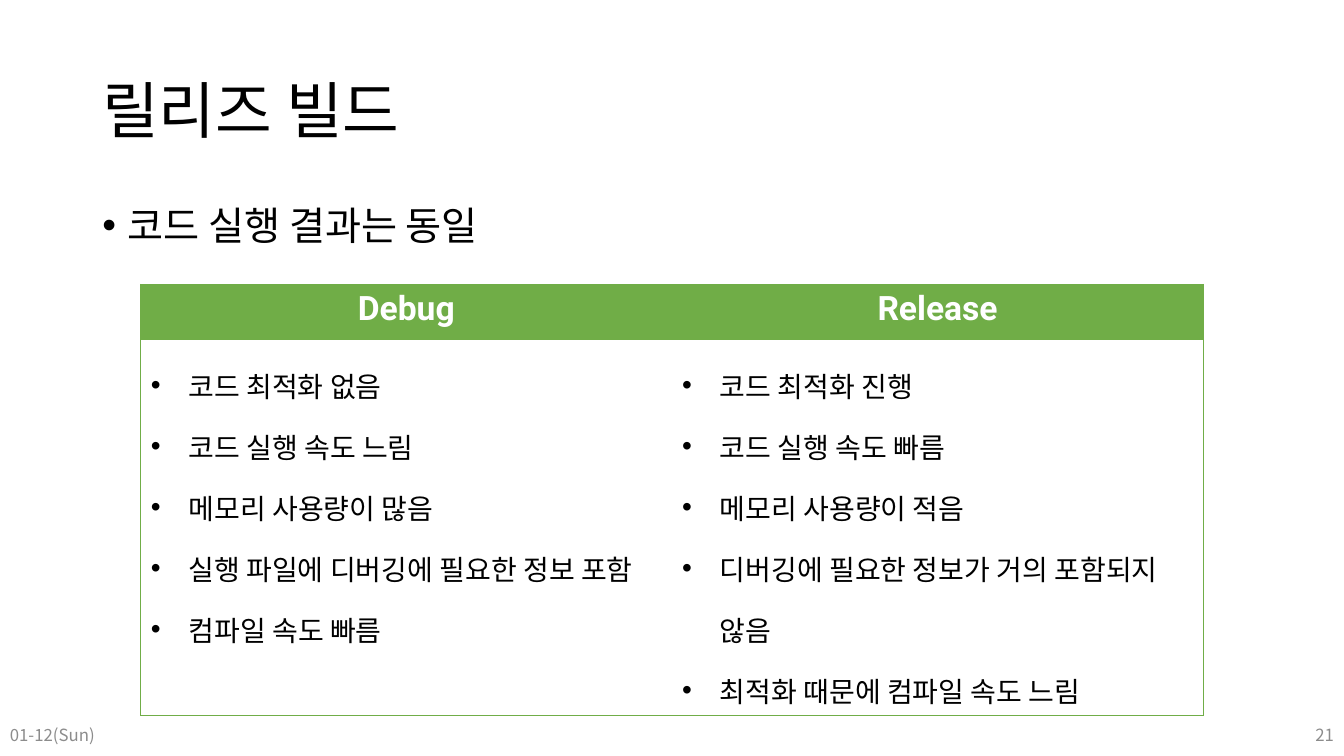
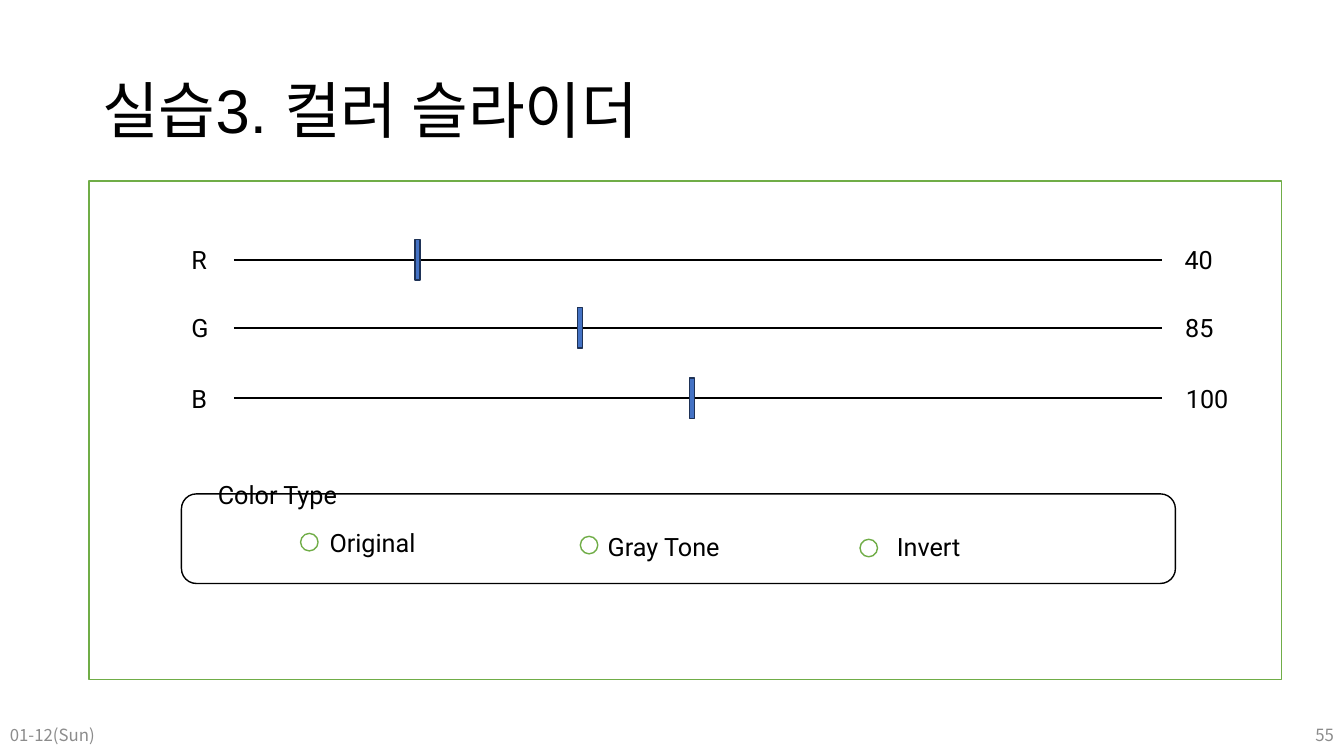
import pptx
import pptx.dml.color
import pptx.enum.shapes
import pptx.enum.text
import pptx.oxml
import pptx.oxml.ns
import pptx.util
from lxml import etree

Pt = pptx.util.Pt
SHAPES = pptx.enum.shapes.MSO_SHAPE
ALIGN = pptx.enum.text.PP_ALIGN
ANCHOR = pptx.enum.text.MSO_ANCHOR


class Theme:
    black, white, grey = "000000", "FFFFFF", "8C8C8C"
    green, blue, navy = "70AD47", "4472C4", "1E3256"
    title_font, body_font, korean_font = "Arial", "Roboto", "Noto Sans CJK KR"
    title, bullet, header, cell, control, footer = 44, 28, 24, 20, 18, 12
    width, height = 960, 540


FOOTER_DATE = "01-12(Sun)"

BUILD = {
    "title": "릴리즈 빌드",
    "number": "21",
    "point": "코드 실행 결과는 동일",
    "columns": {
        "Debug": [
            "코드 최적화 없음",
            "코드 실행 속도 느림",
            "메모리 사용량이 많음",
            "실행 파일에 디버깅에 필요한 정보 포함",
            "컴파일 속도 빠름",
        ],
        "Release": [
            "코드 최적화 진행",
            "코드 실행 속도 빠름",
            "메모리 사용량이 적음",
            "디버깅에 필요한 정보가 거의 포함되지 않음",
            "최적화 때문에 컴파일 속도 느림",
        ],
    },
}

SLIDER = {
    "title": "실습3. 컬러 슬라이더",
    "number": "55",
    # label, label width, value, value left, value width, track y, knob left
    "channels": [
        ("R", 26, "40", 839, 37.5, 185.5, 296.5),
        ("G", 27, "85", 839.5, 37, 234, 412.5),
        ("B", 26, "100", 840, 45.5, 284.5, 492.5),
    ],
    "group": "Color Type",
    # text, left, top, width
    "options": [
        ("Original", 228.3, 373, 78),
        ("Gray Tone", 427, 376.3, 101),
        ("Invert", 633.5, 376.3, 62.5),
    ],
}


def color(value):
    return pptx.dml.color.RGBColor.from_string(value)


def write(frame, lines, *, size, font=Theme.body_font, fill=Theme.black, bold=False,
          align=ALIGN.LEFT, spacing=None, hanging=None):
    """Put one paragraph per line into a text frame; hanging adds a bullet with that indent."""
    for index, line in enumerate(lines):
        paragraph = frame.paragraphs[0] if index == 0 else frame.add_paragraph()
        if hanging:
            properties = paragraph._p.get_or_add_pPr()
            properties.set("marL", str(Pt(hanging)))
            properties.set("indent", str(-Pt(hanging)))
            for tag, name, value in (("a:buFont", "typeface", "Arial"), ("a:buChar", "char", "•")):
                etree.SubElement(properties, pptx.oxml.ns.qn(tag)).set(name, value)
        paragraph.alignment = align
        if spacing:
            paragraph.line_spacing = spacing
        run = paragraph.add_run()
        run.text = line
        run.font.size = Pt(size)
        run.font.name = font
        run.font.bold = bold
        run.font.color.rgb = color(fill)
        east_asian = pptx.oxml.parse_xml(
            f'<a:ea {pptx.oxml.ns.nsdecls("a")} typeface="{Theme.korean_font}"/>')
        run._r.rPr.find(pptx.oxml.ns.qn("a:latin")).addnext(east_asian)


def add_text(shapes, text, left, top, width, height, *, anchor=ANCHOR.TOP, wrap=True, **text_format):
    frame = shapes.add_textbox(Pt(left), Pt(top), Pt(width), Pt(height)).text_frame
    frame.word_wrap = wrap
    frame.vertical_anchor = anchor
    write(frame, [text], **text_format)


def add_control_text(shapes, text, left, top, width):
    add_text(shapes, text, left, top, width, 29, wrap=False, size=Theme.control)


def add_outlined(shapes, kind, left, top, width, height, line, fill=Theme.white):
    shape = shapes.add_shape(kind, Pt(left), Pt(top), Pt(width), Pt(height))
    shape.shadow.inherit = False
    shape.fill.solid()
    shape.fill.fore_color.rgb = color(fill)
    shape.line.color.rgb = color(line)
    shape.line.width = Pt(1)


def add_track(shapes, left, right, y):
    track = shapes.add_connector(pptx.enum.shapes.MSO_CONNECTOR.STRAIGHT,
                                 Pt(left), Pt(y), Pt(right), Pt(y))
    track.line.color.rgb = color(Theme.black)
    track.line.width = Pt(1.5)
    etree.SubElement(track._element.spPr, pptx.oxml.ns.qn("a:effectLst"))


def set_borders(cell, visible):
    """Draw the named sides (letters of LRTB) in green and hide the others."""
    properties = cell._tc.get_or_add_tcPr()
    for index, side in enumerate("LRTB"):
        paint = (f'<a:solidFill><a:srgbClr val="{Theme.green}"/></a:solidFill>'
                 if side in visible else "<a:noFill/>")
        properties.insert(index, pptx.oxml.parse_xml(
            f'<a:ln{side} {pptx.oxml.ns.nsdecls("a")} w="{Pt(0.5)}">{paint}</a:ln{side}>'))


def add_slide(presentation, content):
    """Start a slide with the shared title, date and page number."""
    slide = presentation.slides.add_slide(presentation.slide_layouts[6])
    add_text(slide.shapes, content["title"], 66, 28.75, 828, 104.4, anchor=ANCHOR.MIDDLE,
             size=Theme.title, font=Theme.title_font, spacing=0.9)
    width = 216
    for text, left, align in ((FOOTER_DATE, 0, ALIGN.LEFT),
                              (content["number"], Theme.width - width, ALIGN.RIGHT)):
        add_text(slide.shapes, text, left, 510.5, width, 28.75, anchor=ANCHOR.MIDDLE, align=align,
                 size=Theme.footer, font=Theme.korean_font, fill=Theme.grey)
    return slide


def build_comparison(presentation):
    shapes = add_slide(presentation, BUILD).shapes
    add_text(shapes, BUILD["point"], 66, 144, 828, 342.6,
             size=Theme.bullet, spacing=0.9, hanging=18)
    columns = BUILD["columns"]
    row_heights = (39.6, 268.4)
    table = shapes.add_table(2, len(columns), Pt(100.5), Pt(203), Pt(759), Pt(sum(row_heights))).table
    table.horz_banding = False
    for row, height in zip(table.rows, row_heights):
        row.height = Pt(height)
    for index, (heading, points) in enumerate(columns.items()):
        outer_side = "LR"[index]
        header, body = table.cell(0, index), table.cell(1, index)
        header.fill.solid()
        header.fill.fore_color.rgb = color(Theme.green)
        body.fill.background()
        set_borders(header, outer_side + "TB")
        set_borders(body, outer_side + "TB")
        write(header.text_frame, [heading], size=Theme.header, fill=Theme.white,
              bold=True, align=ALIGN.CENTER)
        write(body.text_frame, points, size=Theme.cell, spacing=1.5, hanging=27)


def build_color_slider(presentation):
    shapes = add_slide(presentation, SLIDER).shapes.add_group_shape().shapes
    add_outlined(shapes, SHAPES.RECTANGLE, 63.5, 129.4, 851.8, 356.2, Theme.green)
    for label, label_width, value, value_left, value_width, y, knob_left in SLIDER["channels"]:
        top = y - 14.5
        add_track(shapes, 167, 830, y)
        add_control_text(shapes, label, 129.6, top, label_width)
        add_control_text(shapes, value, value_left, top, value_width)
        add_outlined(shapes, SHAPES.RECTANGLE, knob_left, top, 3.6, 29, Theme.navy, Theme.blue)

    add_outlined(shapes, SHAPES.ROUNDED_RECTANGLE, 129.6, 352.8, 710, 64, Theme.black)
    add_control_text(shapes, SLIDER["group"], 148.5, 339, 106)
    for index, (text, left, top, width) in enumerate(SLIDER["options"]):
        add_outlined(shapes, SHAPES.OVAL, 214.7 + 199.8 * index, 381 + 2.1 * index,
                     12.5, 12.5, Theme.green)
        add_control_text(shapes, text, left, top, width)


def main():
    presentation = pptx.Presentation()
    presentation.slide_width = Pt(Theme.width)
    presentation.slide_height = Pt(Theme.height)
    build_comparison(presentation)
    build_color_slider(presentation)
    presentation.save("out.pptx")


if __name__ == "__main__":
    main()
